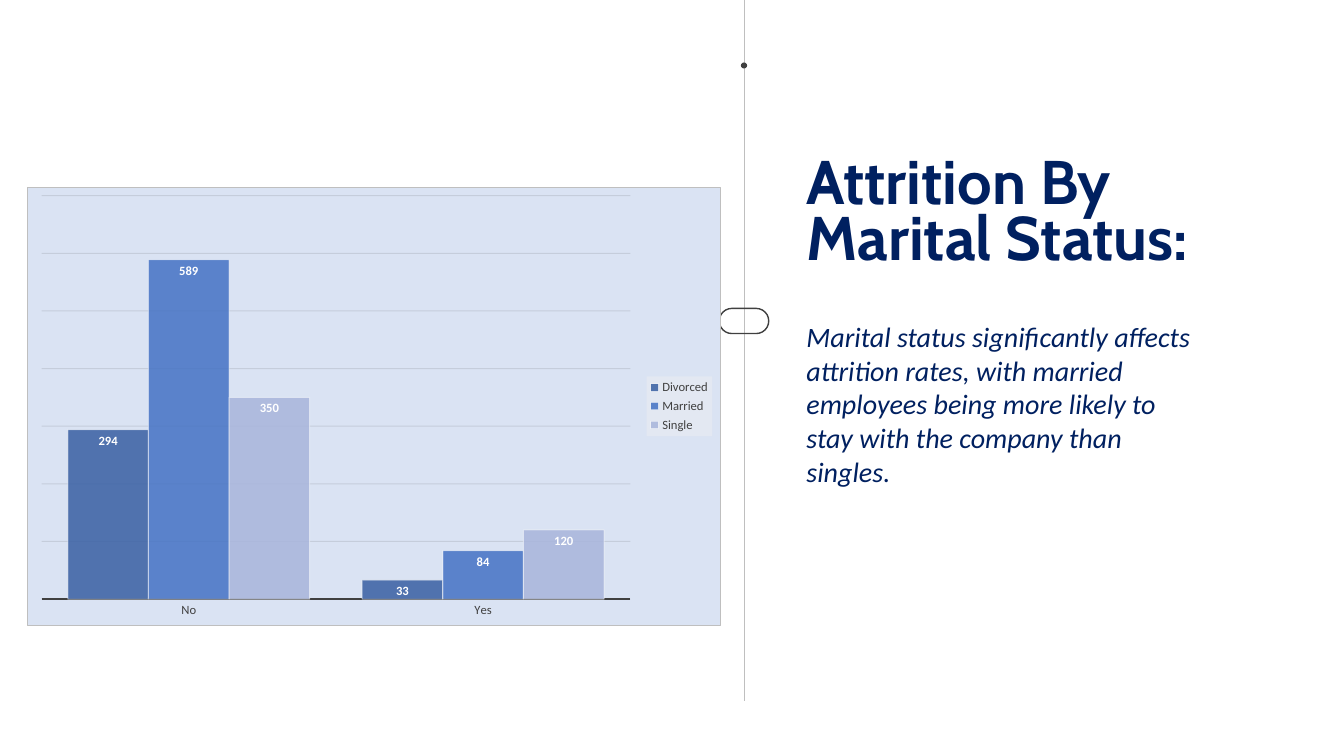
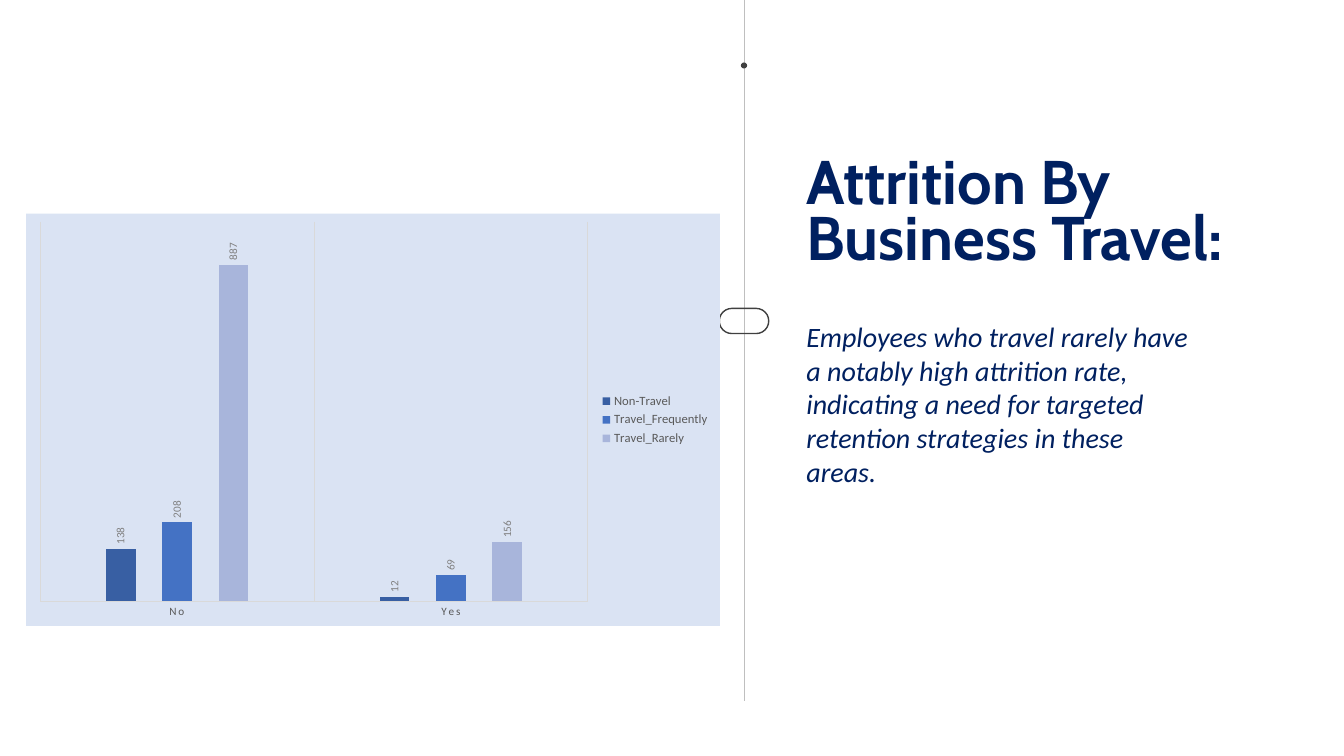
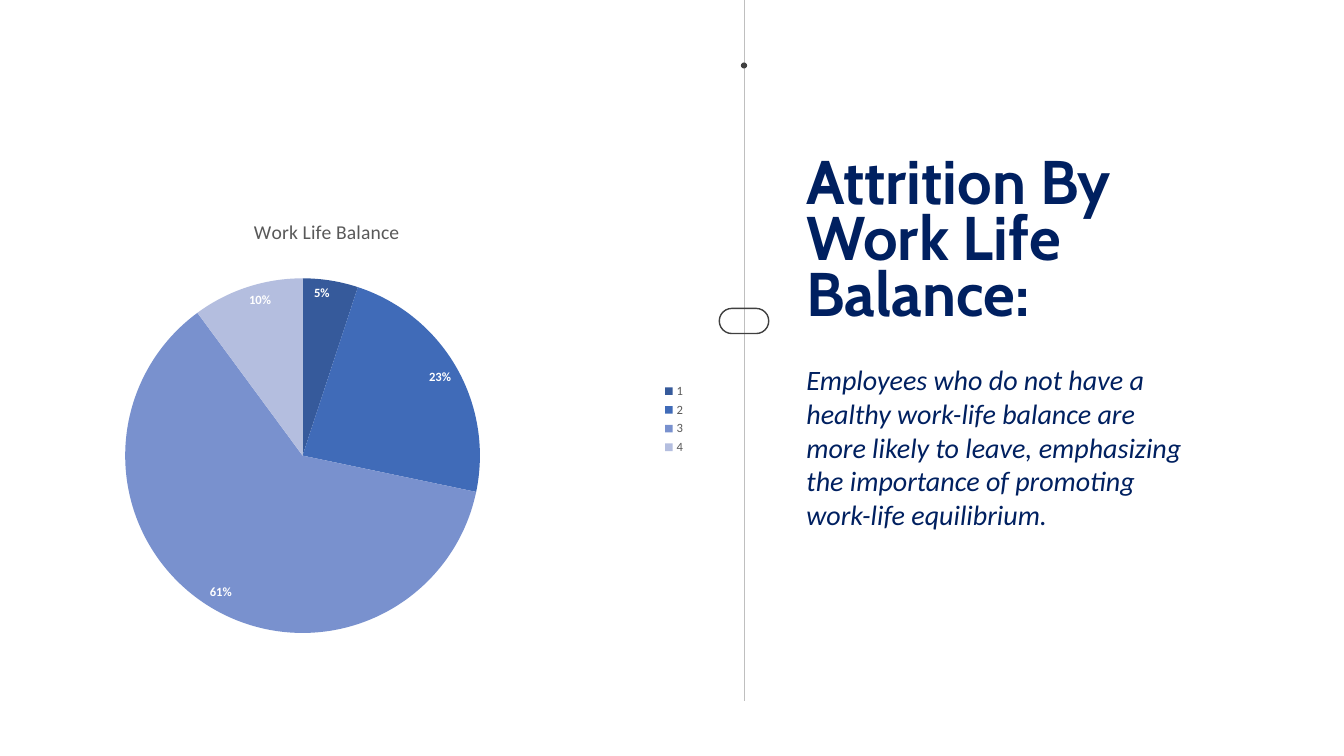
from lxml.etree import SubElement
from pptx import Presentation
from pptx.chart.data import CategoryChartData
from pptx.dml.color import RGBColor
from pptx.dml.fill import FillFormat
from pptx.dml.line import LineFormat
from pptx.enum.chart import XL_CHART_TYPE as CHART
from pptx.enum.chart import XL_LABEL_POSITION as LABEL
from pptx.enum.chart import XL_LEGEND_POSITION as LEGEND
from pptx.enum.chart import XL_TICK_MARK as TICK
from pptx.enum.shapes import MSO_CONNECTOR as CONNECTOR
from pptx.enum.shapes import MSO_SHAPE as SHAPE
from pptx.enum.text import MSO_ANCHOR as ANCHOR
from pptx.enum.text import MSO_AUTO_SIZE as AUTO_SIZE
from pptx.enum.text import PP_ALIGN as ALIGN
from pptx.oxml import parse_xml
from pptx.oxml.ns import nsdecls, qn
from pptx.util import Inches, Pt

WHITE = RGBColor(0xFF, 0xFF, 0xFF)
NAVY = RGBColor(0x00, 0x20, 0x60)
INK = RGBColor(0x0D, 0x0D, 0x0D)
DARK = RGBColor(0x40, 0x40, 0x40)
SLATE = RGBColor(0x59, 0x59, 0x59)
GREY = RGBColor(0x80, 0x80, 0x80)
SILVER = RGBColor(0xBF, 0xBF, 0xBF)
PALE = RGBColor(0xD9, 0xD9, 0xD9)
MIST = RGBColor(0xF2, 0xF2, 0xF2)
PANEL = RGBColor(0xDA, 0xE3, 0xF3)
BARS = [RGBColor(0x38, 0x5F, 0xA3), RGBColor(0x44, 0x72, 0xC4), RGBColor(0xA8, 0xB5, 0xDB)]
SLICES = [RGBColor(0x36, 0x5A, 0x9B), RGBColor(0x40, 0x6B, 0xB8),
          RGBColor(0x79, 0x91, 0xCE), RGBColor(0xB4, 0xBE, 0xDF)]

HEAD_FONT, BODY_FONT = "Cabin", "Calibri"
WIDTH, HEIGHT = Inches(13.33), Inches(7.5)
AXIS_X = 55.36
TEXT_X, TITLE_Y, TITLE_W, TITLE_LINE = 60, 21.33, 32, 7.47
BODY_W, BODY_H = 29.03, 22.4


def box(left, top, width, height):
    return (round(WIDTH * left / 100), round(HEIGHT * top / 100),
            round(WIDTH * width / 100), round(HEIGHT * height / 100))


def style(font, size, color, name=BODY_FONT, bold=False, italic=False):
    font.size, font.name = Pt(size), name
    font.bold, font.italic = bold, italic
    font.color.rgb = color


def paint(fill, color):
    fill.solid()
    fill.fore_color.rgb = color


def stroke(line, color, width):
    paint(line.fill, color)
    line.width = Pt(width)


def fade(element, percent):
    for color in element.iter(qn("a:srgbClr")):
        SubElement(color, qn("a:alpha")).set("val", str(percent * 1000))


def add_timeline(s):
    line = s.shapes.add_connector(CONNECTOR.STRAIGHT, *box(AXIS_X, 0, AXIS_X, 92.67))
    stroke(line.line, SILVER, 0.5)
    SubElement(line._element.spPr, qn("a:effectLst"))

    dot = s.shapes.add_shape(SHAPE.OVAL, *box(AXIS_X - 0.23, 8.27, 0.46, 0.8))
    paint(dot.fill, DARK)
    dot.line.fill.background()

    pill = s.shapes.add_shape(SHAPE.ROUNDED_RECTANGLE, *box(AXIS_X - 1.84, 40.8, 3.68, 3.33))
    pill.adjustments[0] = 0.5
    pill.fill.background()
    stroke(pill.line, DARK, 1)
    for shape in (dot, pill):
        shape.shadow.inherit = False


def fill_placeholder(sp, text, area):
    sp.left, sp.top, sp.width, sp.height = box(*area)
    tf = sp.text_frame
    tf.text = text
    tf.word_wrap = True
    tf.auto_size = AUTO_SIZE.NONE
    tf.vertical_anchor = ANCHOR.TOP
    tf.margin_left = tf.margin_right = tf.margin_top = tf.margin_bottom = 0
    p = tf.paragraphs[0]
    p.alignment = ALIGN.LEFT
    p.space_before = Pt(0)
    return p


def add_slide(prs, title, lines, body, body_y):
    s = prs.slides.add_slide(prs.slide_layouts[1])
    add_timeline(s)
    p = fill_placeholder(s.shapes.title, title, (TEXT_X, TITLE_Y, TITLE_W, lines * TITLE_LINE))
    p.line_spacing = Pt(40)
    style(p.runs[0].font, 44, NAVY, HEAD_FONT, bold=True)

    p = fill_placeholder(s.placeholders[1], body, (TEXT_X, body_y, BODY_W, BODY_H))
    pPr = p._p.get_or_add_pPr()
    pPr.set("marL", "0")
    pPr.set("indent", "0")
    SubElement(pPr, qn("a:buNone"))
    style(p.runs[0].font, 20, NAVY, italic=True)
    return s


def manual_layout(inner=False, **shares):
    target = '<c:layoutTarget val="inner"/>' if inner else ""
    modes = "".join(f'<c:{k}Mode val="edge"/>' for k in "xy")
    values = "".join(f'<c:{k} val="{v}"/>' for k, v in shares.items())
    return parse_xml(f'<c:layout {nsdecls("c")}><c:manualLayout>{target}{modes}{values}'
                     '</c:manualLayout></c:layout>')


def drop_layout(element):
    for old in element.findall(qn("c:layout")):
        element.remove(old)


def add_panel(sibling, color):
    spPr = parse_xml(f'<c:spPr {nsdecls("c", "a")}/>')
    sibling.addnext(spPr)
    paint(FillFormat.from_fill_parent(spPr), color)
    return spPr


def add_chart(s, kind, area, cats, series, plot_area, legend_color):
    data = CategoryChartData()
    data.categories = cats
    for name, values in series:
        data.add_series(name, values)
    chart = s.shapes.add_chart(kind, *box(*area), data).chart
    style(chart.font, 10, INK)
    chart.has_title = False
    chart.has_legend = True
    chart.legend.position = LEGEND.RIGHT
    chart.legend.include_in_layout = False
    style(chart.legend.font, 9, legend_color)
    plot = chart._chartSpace.chart.plotArea
    drop_layout(plot)
    x, y, w, h = plot_area
    plot.insert(0, manual_layout(inner=True, x=x, y=y, w=w, h=h))
    return chart


def add_columns(s, area, series, plot_area, top, step, legend_color, gap, overlap=0):
    chart = add_chart(s, CHART.COLUMN_CLUSTERED, area, ["No", "Yes"], series,
                      plot_area, legend_color)
    plot = chart.plots[0]
    plot.vary_by_categories = False
    plot.gap_width, plot.overlap = gap, overlap
    axis = chart.value_axis
    axis.minimum_scale, axis.maximum_scale, axis.major_unit = 0, top, step
    axis.has_major_gridlines = False
    axis.visible = False
    chart.category_axis.major_tick_mark = TICK.NONE
    for bars, color in zip(plot.series, BARS):
        paint(bars.format.fill, color)
        bars.invert_if_negative = False
    return chart


def label(series, position, size, color, bold=False):
    labels = series.data_labels
    labels.show_value = True
    labels.position = position
    style(labels.font, size, color, bold=bold)
    return labels


def marital_status(prs):
    s = add_slide(prs, "Attrition By Marital Status:", 2,
                  "Marital status significantly affects attrition rates, with married employees "
                  "being more likely to stay with the company than singles.", 42.27)
    series = [("Divorced", (294, 33)), ("Married", (589, 84)), ("Single", (350, 120))]
    chart = add_columns(s, (2.03, 24.67, 51.61, 58.13), series, (0.02, 0.02, 0.85, 0.92),
                        700, 100, DARK, gap=65)
    stroke(LineFormat(add_panel(chart._chartSpace.chart, PANEL)), SILVER, 0.75)
    fade(add_panel(chart.legend._element.find(qn("c:overlay")), MIST), 39)
    grid = chart.value_axis.major_gridlines.format.line
    stroke(grid, INK, 0.75)
    fade(grid._ln, 10)
    axis = chart.category_axis
    stroke(axis.format.line, DARK, 1.5)
    style(axis.tick_labels.font, 9, DARK)
    for bars in chart.plots[0].series:
        fade(bars._element.spPr, 85)
        stroke(bars.format.line, WHITE, 0.75)
        fade(bars.format.line._ln, 50)
        label(bars, LABEL.INSIDE_END, 9, WHITE, bold=True)


def business_travel(prs):
    s = add_slide(prs, "Attrition By Business Travel:", 2,
                  "Employees who travel rarely have a notably high attrition rate, indicating "
                  "a need for targeted retention strategies in these areas.", 42.27)
    series = [("Non-Travel", (138, 12)), ("Travel_Frequently", (208, 69)),
              ("Travel_Rarely", (887, 156))]
    chart = add_columns(s, (1.95, 28.27, 51.61, 54.53), series, (0.02, 0.02, 0.79, 0.92),
                        1000, 200, SLATE, gap=444, overlap=-90)
    add_panel(chart._chartSpace.chart, PANEL)
    axis = chart.category_axis
    axis.has_major_gridlines = True
    for line in (axis.format.line, axis.major_gridlines.format.line):
        stroke(line, PALE, 0.75)
    font = axis.tick_labels.font
    style(font, 8, SLATE)
    font._element.set("spc", "120")
    for bars in chart.plots[0].series:
        labels = label(bars, LABEL.OUTSIDE_END, 8, GREY)
        body = labels._element.find(qn("c:txPr")).find(qn("a:bodyPr"))
        body.set("rot", "-5400000")
        body.set("vert", "horz")


def work_life_balance(prs):
    s = add_slide(prs, "Attrition By Work Life Balance:", 3,
                  "Employees who do not have a healthy work-life balance are more likely to "
                  "leave, emphasizing the importance of promoting work-life equilibrium.", 48)
    chart = add_chart(s, CHART.PIE, (0, 25.33, 51.76, 60.27), ["1", "2", "3", "4"],
                      [("Work Life Balance", (5, 23, 61, 10))], (0.18, 0.19, 0.51, 0.78), SLATE)
    chart.has_title = True
    tf = chart.chart_title.text_frame
    tf.text = "Work Life Balance"
    style(tf.paragraphs[0].runs[0].font, 14, SLATE)
    title = chart.chart_title._element
    drop_layout(title)
    title.find(qn("c:tx")).addnext(manual_layout(x=0.36, y=0.05))

    chart.plots[0].vary_by_categories = True
    pie = chart.plots[0].series[0]
    for i, color in enumerate(SLICES):
        paint(pie.points[i].format.fill, color)
    labels = label(pie, LABEL.INSIDE_END, 9, WHITE, bold=True)
    labels.number_format = '0"%"'
    labels.number_format_is_linked = False


def main():
    prs = Presentation()
    prs.slide_width, prs.slide_height = WIDTH, HEIGHT
    marital_status(prs)
    business_travel(prs)
    work_life_balance(prs)
    prs.save("out.pptx")


if __name__ == "__main__":
    main()
